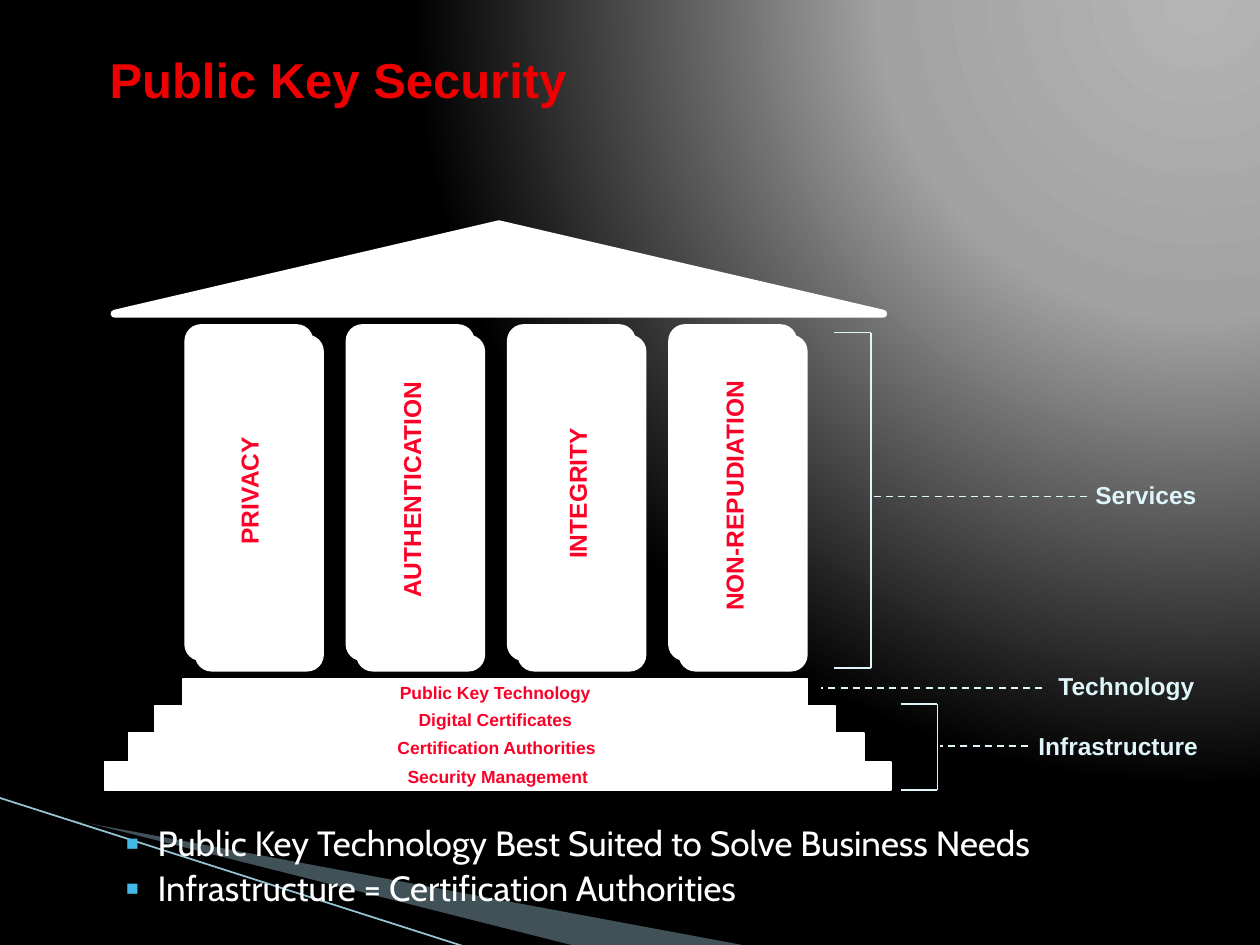
from dataclasses import dataclass

from lxml import etree
from pptx import Presentation, util as u
from pptx.dml.color import RGBColor
from pptx.enum import dml, shapes, text
from pptx.oxml import parse_xml
from pptx.oxml.ns import nsdecls, qn


@dataclass(frozen=True)
class Theme:
    white: str = "FFFFFF"
    black: str = "000000"
    title: str = "EE0000"
    temple: str = "FC0128"
    caption: str = "DEF5FA"
    bullet: str = "44B9E8"
    wedge: str = "A0CBDC"
    streak: str = "97C5D8"
    heading_font: str = "Arial"
    body_font: str = "Cabin"
    title_size: int = 28
    body_size: int = 20
    label_size: int = 14
    step_size: int = 10


theme = Theme()
rgb = RGBColor.from_string
deck = Presentation()
deck.slide_width, deck.slide_height = u.Inches(10), u.Inches(7.5)
column, row = deck.slide_width / 100, deck.slide_height / 75
slide = deck.slides.add_slide(deck.slide_layouts[1])
parts = slide.shapes


def grid(*cells):
    return [round(n * (row if i % 2 else column)) for i, n in enumerate(cells)]


def style(paragraph, size, color, face=theme.heading_font, bold=True):
    font = paragraph.font
    font.size, font.name, font.bold = u.Pt(size), face, bold
    font.color.rgb = rgb(color)


stops = [(0, "B4B4B4"), (40, "A2A2A2"), (100, theme.black)]
stop_xml = "".join(
    f'<a:gs pos="{pos * 1000}"><a:srgbClr val="{color}"/></a:gs>' for pos, color in stops)
slide.element.cSld.insert(0, parse_xml(
    f'<p:bg {nsdecls("p", "a")}><p:bgPr><a:gradFill rotWithShape="1">'
    f'<a:gsLst>{stop_xml}</a:gsLst><a:path path="circle">'
    '<a:fillToRect l="95000" t="-106000" r="5000" b="206000"/></a:path>'
    '</a:gradFill><a:effectLst/></p:bgPr></p:bg>'))

wedges = [
    (theme.wedge, 40, [(5.5, 65.05), (59.5, 75.1), (45.6, 75.1)]),
    (theme.black, 100, [(5.3, 64.9), (45.7, 75.1), (37.2, 75.2)]),
]
for color, opacity, corners in wedges:
    start, *rest = [grid(*corner) for corner in corners]
    outline = parts.build_freeform(*start)
    outline.add_line_segments(rest)
    wedge = outline.convert_to_shape()
    wedge.shadow.inherit = False
    wedge.line.fill.background()
    wedge.fill.solid()
    wedge.fill.fore_color.rgb = rgb(color)
    tint = wedge.element.spPr.find(qn("a:solidFill"))[0]
    etree.SubElement(tint, qn("a:alpha"), val=str(opacity * 1000))

title = parts.title
title.left, title.top, title.width, title.height = grid(7.7, 0, 85, 12.5)
title.text_frame.text = "Public Key Security"
title.text_frame.vertical_anchor = text.MSO_ANCHOR.MIDDLE
heading = title.text_frame.paragraphs[0]
heading.alignment = text.PP_ALIGN.LEFT
style(heading, theme.title_size, theme.title)

rect, pillar = shapes.MSO_SHAPE.RECTANGLE, shapes.MSO_SHAPE.ROUNDED_RECTANGLE
roof = shapes.MSO_SHAPE.ISOSCELES_TRIANGLE
temple = [
    (rect, (14.5, 53.9, 49.6, 2.1), 1, "Public Key Technology"),
    (rect, (12.3, 56, 54, 2.2), 1, "Digital Certificates"),
    (rect, (10.2, 58.2, 58.4, 2.2), 1, "Certification Authorities"),
    (rect, (8.3, 60.5, 62.4, 2.2), 1, "Security Management"),
    (roof, (9.1, 17.8, 61, 7.1), 4.5, ""),
]
temple += [(pillar, (14.7 + 12.8 * i, 25.8, 10.1, 26.6), 1, "") for i in range(4)]
for form, place, weight, wording in temple:
    block = parts.add_shape(form, *grid(*place))
    block.shadow.inherit = False
    block.fill.solid()
    block.fill.fore_color.rgb = block.line.color.rgb = rgb(theme.white)
    block.line.width = u.Pt(weight)
    if form == pillar:
        block.adjustments[0] = 0.125
        effects = block.element.spPr.find(qn("a:effectLst"))
        shadow = etree.SubElement(effects, qn("a:outerShdw"), dist=str(u.Pt(8.5)),
                                  dir=str(45 * 60000), algn="ctr", rotWithShape="0")
        etree.SubElement(shadow, qn("a:srgbClr"), val=theme.white)
    if wording:
        frame = block.text_frame
        frame.text, frame.word_wrap = wording, False
        frame.margin_left = frame.margin_right = u.Inches(0.07)
        frame.margin_top = frame.margin_bottom = u.Inches(0.03)
        frame.vertical_anchor = text.MSO_ANCHOR.MIDDLE
        frame.paragraphs[0].alignment = text.PP_ALIGN.CENTER
        style(frame.paragraphs[0], theme.step_size, theme.temple)

labels = [
    ("PRIVACY", 19.8, 38.95, 21.8, 270, theme.temple),
    ("AUTHENTICATION", 32.7, 38.85, 21, 270, theme.temple),
    ("INTEGRITY", 45.85, 39.15, 14.7, 270, theme.temple),
    ("NON-REPUDIATION", 58.3, 39.35, 24.4, 270, theme.temple),
    ("Services", 90.95, 39.35, 14.7, 0, theme.caption),
    ("Technology", 89.4, 54.45, 14.7, 0, theme.caption),
    ("Infrastructure", 88.75, 59.25, 16.3, 0, theme.caption),
]
for wording, center, middle, width, turn, color in labels:
    label = parts.add_textbox(*grid(center - width / 2, middle - 1.45, width, 2.9))
    label.rotation = turn
    label.text_frame.text, label.text_frame.word_wrap = wording, True
    line = label.text_frame.paragraphs[0]
    line.alignment = text.PP_ALIGN.CENTER
    line.line_spacing, line.space_before = 0.9, u.Pt(1.4)
    style(line, theme.label_size, color)

dash, solid = dml.MSO_LINE.DASH, dml.MSO_LINE.SOLID
rules = [
    ((-0.1, 63.3, 37.1, 75.2), theme.streak, solid),
    ((86.3, 39.4, 69.4, 39.4), theme.caption, dash),
    ((82.7, 54.6, 65.2, 54.6), theme.caption, dash),
    ((81.6, 59.2, 74.6, 59.2), theme.caption, dash),
]
for inner, outer, top, bottom in [(66.2, 69.1, 26.4, 53), (71.5, 74.4, 55.9, 62.7)]:
    rules += [(ends, theme.caption, solid) for ends in (
        (inner, top, outer, top), (inner, bottom, outer, bottom),
        (outer, bottom, outer, top))]
for ends, color, pattern in rules:
    rule = parts.add_connector(shapes.MSO_CONNECTOR.STRAIGHT, *grid(*ends))
    rule.line.color.rgb = rgb(color)
    rule.line.width = u.Pt(1)
    rule.line.dash_style = pattern
    etree.SubElement(rule.element.spPr, qn("a:effectLst"))

summary = slide.placeholders[1]
summary.left, summary.top, summary.width, summary.height = grid(9, 65.1, 82.3, 6)
summary.element.getparent().append(summary.element)
points = summary.text_frame
points.text = ("Public Key Technology Best Suited to Solve Business Needs\n"
               "Infrastructure = Certification Authorities")
points.auto_size = text.MSO_AUTO_SIZE.NONE
points.vertical_anchor = text.MSO_ANCHOR.TOP
for point in points.paragraphs:
    point.line_spacing, point.space_before = 0.9, u.Pt(4)
    props = point._p.get_or_add_pPr()
    props.set("marL", str(u.Inches(0.25)))
    props.set("indent", str(-u.Inches(0.25)))
    etree.SubElement(etree.SubElement(props, qn("a:buClr")), qn("a:srgbClr"), val=theme.bullet)
    etree.SubElement(props, qn("a:buSzPct"), val="60000")
    etree.SubElement(props, qn("a:buFont"), typeface=theme.heading_font)
    etree.SubElement(props, qn("a:buChar"), char="■")
    style(point, theme.body_size, theme.white, theme.body_font, False)

deck.save("out.pptx")
